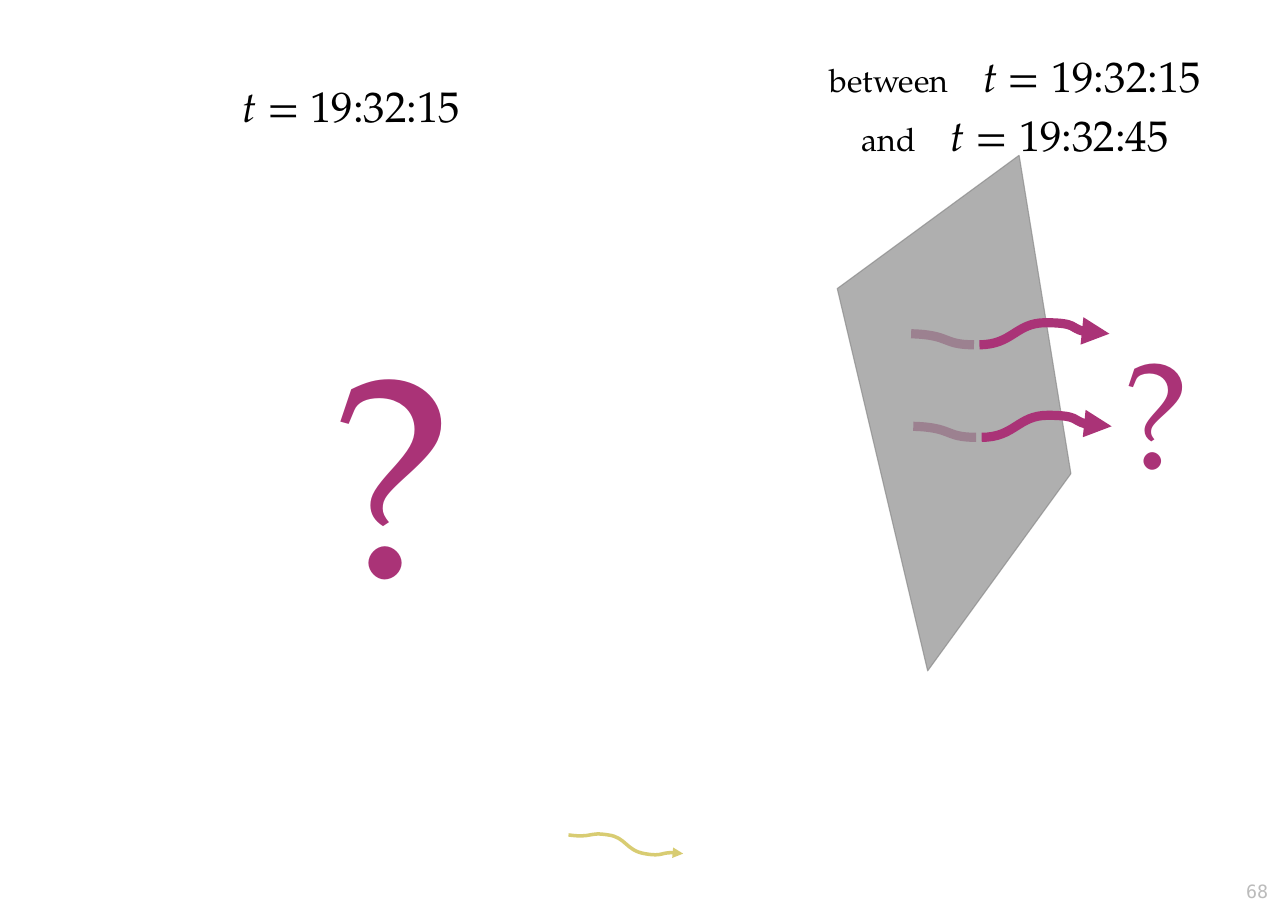
from lxml.etree import SubElement
from pptx import Presentation
from pptx.dml.color import RGBColor
from pptx.enum.text import MSO_AUTO_SIZE as AutoSize, PP_ALIGN as Align
from pptx.oxml.ns import qn
from pptx.util import Inches, Pt

WIDTH, HEIGHT = Inches(11.69), Inches(8.27)
PURPLE = RGBColor(0xAA, 0x33, 0x77)
YELLOW = RGBColor(0xCC, 0xBB, 0x44)
GREY = RGBColor(0x88, 0x88, 0x88)
PALE = RGBColor(0xBB, 0xBB, 0xBB)
BLACK = RGBColor(0, 0, 0)
SERIF, MONO = "TeX Gyre Pagella", "DejaVu Sans Mono"

# All places are percentages of the slide's width and height.
PLANE = [(79.13, 17.05), (65.01, 31.68), (72.03, 73.64), (83.15, 52)]
DRIFT = [(44.14, 91.66), (46.02, 92.02), (45.68, 91.29), (47.22, 91.66),
         (48.59, 91.9), (48.59, 93.35), (50.04, 93.71),
         (51.5, 94.07), (51.15, 93.35), (53.04, 93.71)]
# Offsets from the tip of a flux arrow
WAVE = [(0, 0), (-3.17, 0), (-2.48, -1.21), (-4.96, -1.21),
        (-7.27, -1.21), (-7.53, 1.21), (-10.09, 1.21)]
FADED_WAVE = [(-10.52, 1.21), (-13, 1.21), (-12.32, 0.12), (-15.4, 0)]
UPPER_TIP, LOWER_TIP = (86.14, 36.64), (86.31, 46.8)


def across(share):
    return round(WIDTH * share / 100)


def down(share):
    return round(HEIGHT * share / 100)


def shifted(points, tip):
    return [(tip[0] + x, tip[1] + y) for x, y in points]


def set_alpha(parent, percent):
    color = parent.find(f"{qn('a:solidFill')}/{qn('a:srgbClr')}")
    SubElement(color, qn("a:alpha"), val=str(percent * 1000))


def add_outline(s, points, color, width, alpha=100, closed=False):
    (x, y), *rest = [(across(x), down(y)) for x, y in points]
    builder = s.shapes.build_freeform(x, y)
    builder.add_line_segments(rest, close=closed)
    sp = builder.convert_to_shape()
    sp.shadow.inherit = False
    sp.fill.background()
    sp.line.color.rgb = color
    sp.line.width = Pt(width)
    if alpha < 100:
        set_alpha(sp.line._get_or_add_ln(), alpha)
    return sp


def add_curve(s, points, color, width, alpha=100, arrow=None):
    """Draw cubic curves: a start, then two controls and an end for each."""
    sp = add_outline(s, points, color, width, alpha)
    path = sp._element.find(f".//{qn('a:path')}")
    segments = path.findall(qn("a:lnTo"))
    for i in range(0, len(segments), 3):
        curve = SubElement(path, qn("a:cubicBezTo"))
        for segment in segments[i:i + 3]:
            curve.append(segment[0])
            path.remove(segment)
    if arrow:
        SubElement(sp.line._get_or_add_ln(), qn(f"a:{arrow}"), type="triangle")


def add_plane(s):
    sp = add_outline(s, PLANE, GREY, 0, alpha=67, closed=True)
    sp.fill.solid()
    sp.fill.fore_color.rgb = GREY
    set_alpha(sp._element.spPr, 67)


def add_box(s, x, y, w, h, wrap=False):
    tf = s.shapes.add_textbox(across(x), down(y), across(w), down(h)).text_frame
    tf.word_wrap = wrap
    tf.auto_size = AutoSize.SHAPE_TO_FIT_TEXT
    return tf


def add_run(p, text, size=28, color=BLACK, font=SERIF, italic=False, spacing=0):
    r = p.add_run()
    r.text = text
    r.font.size = Pt(size)
    r.font.name = font
    r.font.italic = italic
    r.font.color.rgb = color
    if spacing:
        r._r.get_or_add_rPr().set("spc", str(round(spacing * 100)))


def add_time(p, clock):
    add_run(p, "t", italic=True)
    add_run(p, f" = {clock}")


def add_interval(s):
    tf = add_box(s, 62.53, 4.84, 32.59, 14.87)
    first, second = tf.paragraphs[0], tf.add_paragraph()
    second.line_spacing = 1.15
    rows = ((first, "between", "19:32:15"), (second, "and", "19:32:45"))
    for p, word, clock in rows:
        p.alignment = Align.CENTER
        add_run(p, word, size=21)
        add_run(p, " ", size=21, spacing=17.5)
        add_time(p, clock)


def main():
    prs = Presentation()
    prs.slide_width, prs.slide_height = WIDTH, HEIGHT
    s = prs.slides.add_slide(prs.slide_layouts[6])

    page = add_box(s, 90.76, 96.01, 8.55, 3.51).paragraphs[0]
    page.alignment = Align.RIGHT
    add_run(page, "68", size=12, color=PALE, font=MONO)

    for tip in (LOWER_TIP, UPPER_TIP):
        add_curve(s, shifted(FADED_WAVE, tip), PURPLE, 6, alpha=67)
    add_run(add_box(s, 24.64, 31.44, 11.55, 44.01).paragraphs[0],
            "?", size=187.2, color=PURPLE)
    add_time(add_box(s, 17.96, 8.1, 19.59, 7.62).paragraphs[0], "19:32:15")

    add_plane(s)
    add_curve(s, DRIFT, YELLOW, 2.3, alpha=75, arrow="tailEnd")
    add_run(add_box(s, 86.31, 34.22, 6.93, 23.94, wrap=True).paragraphs[0],
            "?", size=99.4, color=PURPLE)
    for tip in (UPPER_TIP, LOWER_TIP):
        add_curve(s, shifted(WAVE, tip), PURPLE, 6, arrow="headEnd")
    add_interval(s)

    prs.save("out.pptx")


if __name__ == "__main__":
    main()
